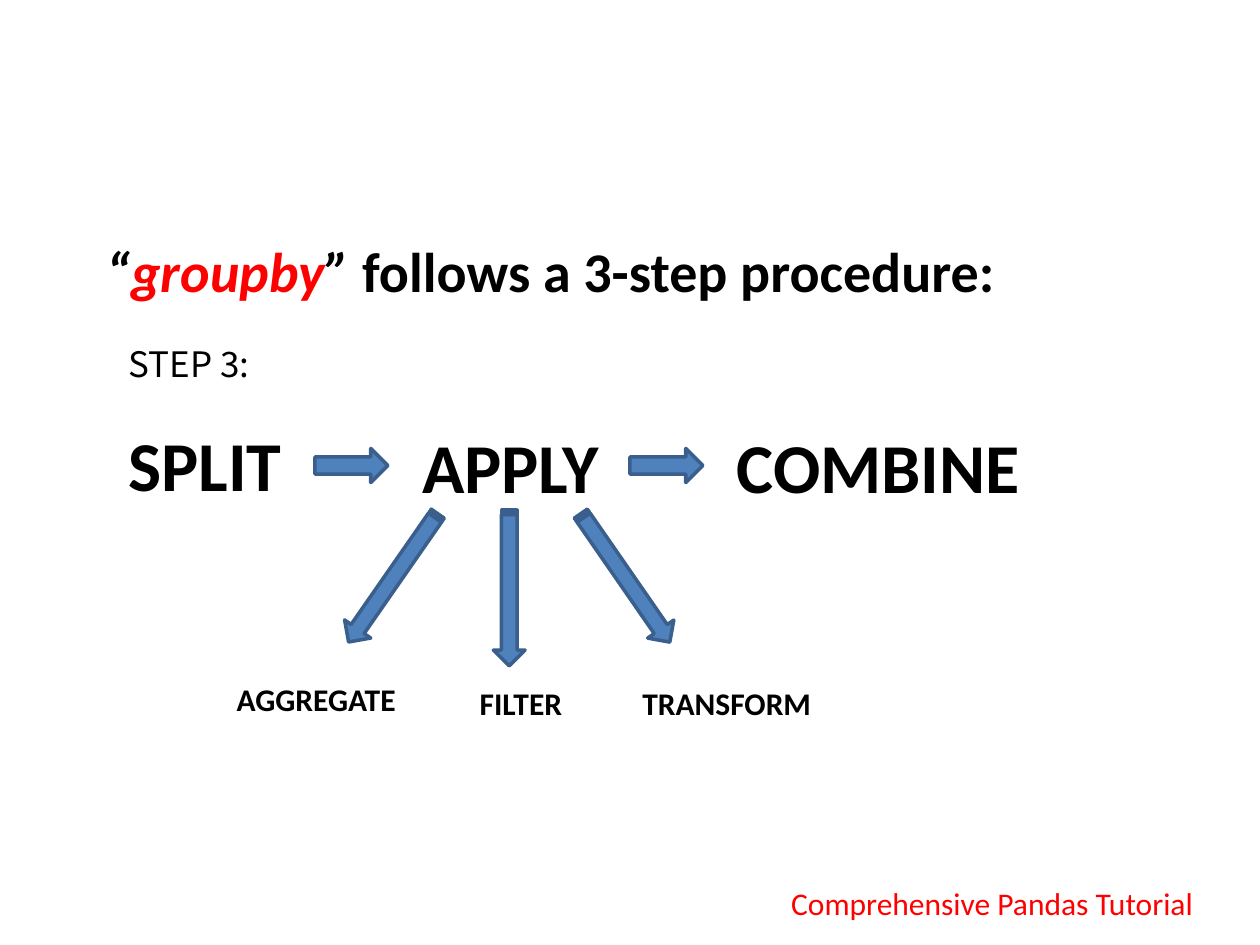
from dataclasses import dataclass

from pptx import Presentation
from pptx.dml.color import RGBColor
from pptx.enum.shapes import MSO_SHAPE as Shape
from pptx.enum.text import MSO_ANCHOR, MSO_AUTO_SIZE, PP_ALIGN
from pptx.util import Cm, Pt


@dataclass(frozen=True)
class Theme:
    text: str = "000000"
    accent: str = "FF0000"
    arrow_fill: str = "4F81BD"
    arrow_line: str = "3A5F8C"
    font: str = "Calibri"
    step_font: str = "Noto Sans CJK SC"
    heading: int = 32
    stage: int = 40
    step: int = 20
    label: int = 18


THEME = Theme()


def rgb(color):
    return RGBColor.from_string(color)


def add_run(paragraph, text, *, size, color=THEME.text, font=THEME.font,
            bold=False, italic=False):
    run = paragraph.add_run()
    run.text = text
    run.font.name = font
    run.font.size = Pt(size)
    run.font.bold = bold
    run.font.italic = italic
    run.font.color.rgb = rgb(color)


def add_label(slide, text, left, top, width, height, **text_format):
    box = slide.shapes.add_textbox(Cm(left), Cm(top), Cm(width), Cm(height))
    box.text_frame.word_wrap = True
    add_run(box.text_frame.paragraphs[0], text, **text_format)


def add_arrow(slide, preset, left, top, width, height, rotation=0):
    arrow = slide.shapes.add_shape(preset, Cm(left), Cm(top), Cm(width), Cm(height))
    arrow.rotation = rotation
    arrow.shadow.inherit = False
    arrow.fill.solid()
    arrow.fill.fore_color.rgb = rgb(THEME.arrow_fill)
    arrow.line.color.rgb = rgb(THEME.arrow_line)
    arrow.line.width = Pt(2)


def fill_heading(slide):
    heading = slide.shapes.title
    heading.left, heading.top = Cm(1.9), Cm(4.65)
    heading.width, heading.height = Cm(18.82), Cm(1.63)
    frame = heading.text_frame
    frame.auto_size = MSO_AUTO_SIZE.NONE
    frame.vertical_anchor = MSO_ANCHOR.TOP
    frame.word_wrap = False
    paragraph = frame.paragraphs[0]
    paragraph.alignment = PP_ALIGN.LEFT
    for text, color, italic in (
        ("“", THEME.text, True),
        ("groupby", THEME.accent, True),
        ("”", THEME.text, True),
        (" follows a 3-step procedure:", THEME.text, False),
    ):
        add_run(paragraph, text, size=THEME.heading, color=color,
                bold=True, italic=italic)


def add_stages(slide):
    """Three stages in a row, joined by arrows."""
    for stage, left, top, width in (
        ("SPLIT", 2.34, 8.38, 4.01),
        ("APPLY", 8.26, 8.41, 4.45),
        ("COMBINE", 14.6, 8.41, 7.62),
    ):
        add_label(slide, stage, left, top, width, 1.96, size=THEME.stage, bold=True)
    for left in (6.35, 12.7):
        add_arrow(slide, Shape.RIGHT_ARROW, left, 9.04, 1.47, 0.69)


def add_apply_options(slide):
    """Arrows fanning out from APPLY, each to one kind of operation."""
    options = (
        ("AGGREGATE", 4.52, 13.59, 4.04, 11.33, 124.8),
        ("FILTER", 9.42, 13.67, 2.64, 11.53, 90),
        ("TRANSFORM", 12.7, 13.67, 4.04, 11.33, 55.3),
    )
    first_arrow, arrow_step = 6.35, 2.34
    for index, (option, left, top, width, arrow_top, rotation) in enumerate(options):
        add_arrow(slide, Shape.STRIPED_RIGHT_ARROW, first_arrow + index * arrow_step,
                  arrow_top, 3.15, 0.64, rotation)
        add_label(slide, option, left, top, width, 1.02, size=THEME.label, bold=True)


def main():
    deck = Presentation()
    deck.slide_width, deck.slide_height = Cm(25.4), Cm(19.05)
    title_only = deck.slide_layouts[5]
    slide = deck.slides.add_slide(title_only)

    fill_heading(slide)
    add_label(slide, "STEP 3:", 2.34, 6.78, 4.01, 1.12,
              size=THEME.step, font=THEME.step_font)
    add_stages(slide)
    add_apply_options(slide)
    add_label(slide, "Comprehensive Pandas Tutorial", 15.7, 17.7, 8.99, 1.02,
              size=THEME.label, color=THEME.accent)
    deck.save("out.pptx")


if __name__ == "__main__":
    main()
